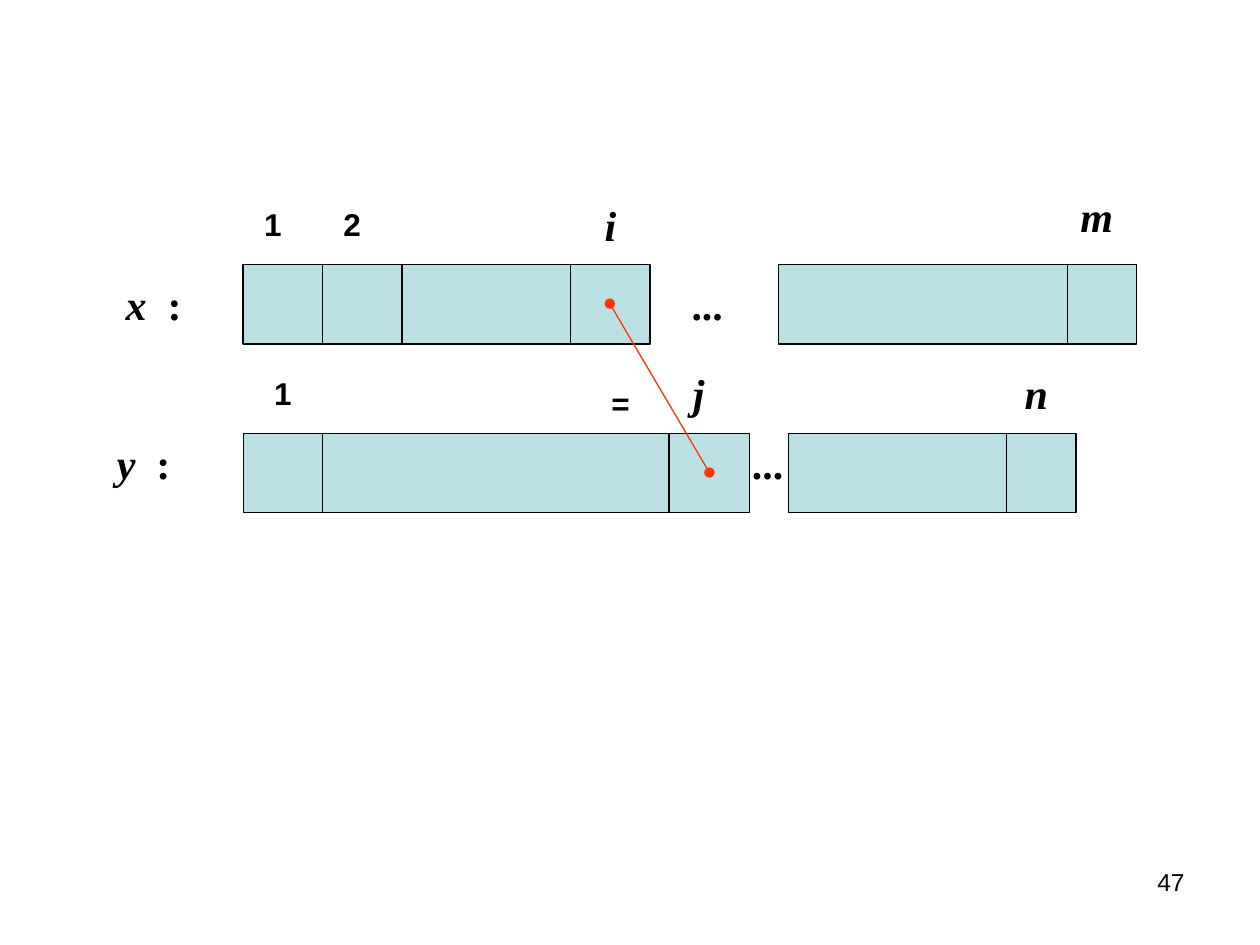
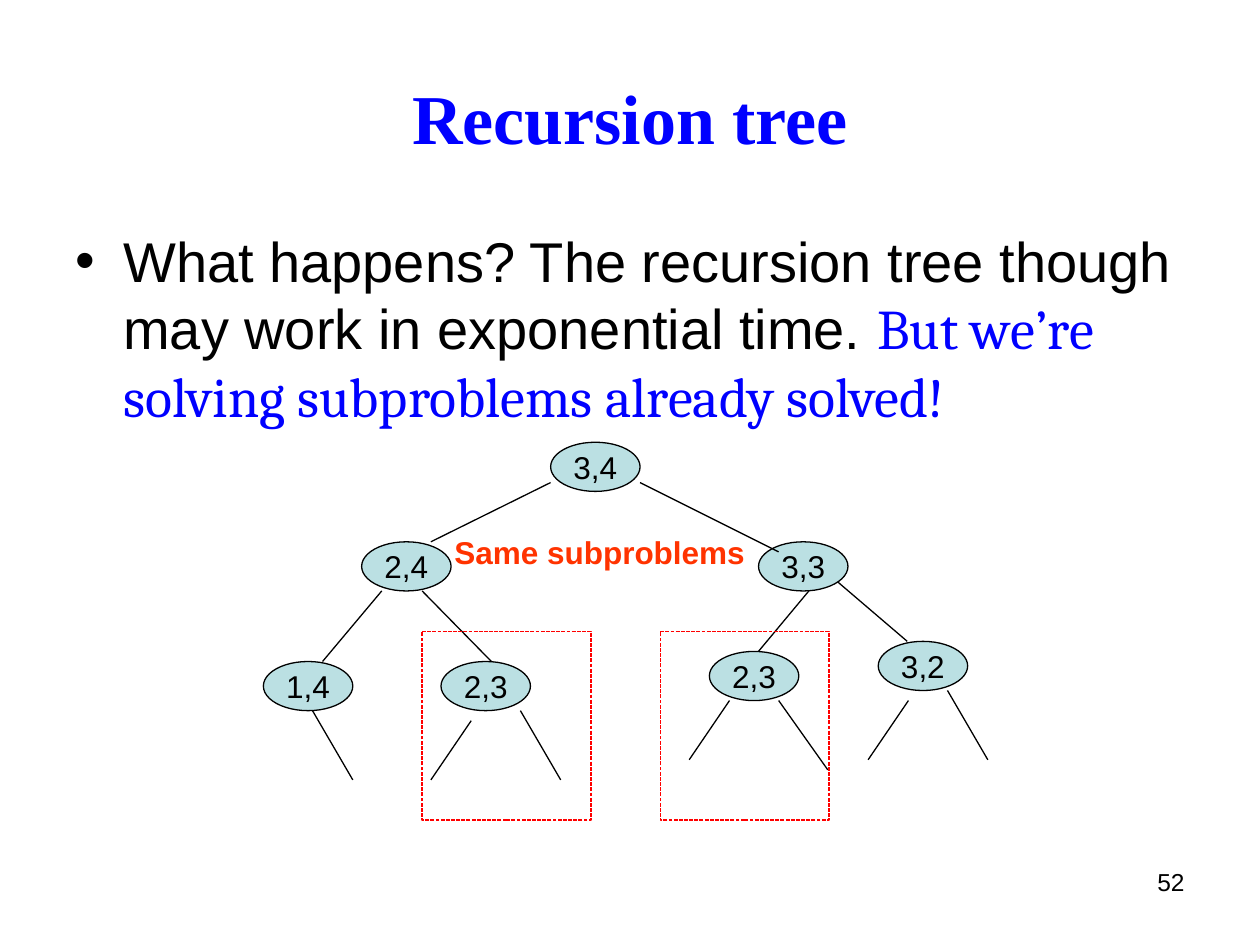
"""Build two slides: matching two sequences, and the recursion tree behind it."""
import pptx
import pptx.dml.color
import pptx.enum.dml
import pptx.enum.shapes
import pptx.enum.text
import pptx.oxml.ns
import pptx.util

Inches, Pt = pptx.util.Inches, pptx.util.Pt
RGBColor = pptx.dml.color.RGBColor
SHAPE = pptx.enum.shapes.MSO_SHAPE
ALIGN = pptx.enum.text.PP_ALIGN
ANCHOR = pptx.enum.text.MSO_ANCHOR
qn = pptx.oxml.ns.qn

BLACK = RGBColor(0x00, 0x00, 0x00)
PALE = RGBColor(0xBB, 0xE0, 0xE3)
BLUE = RGBColor(0x00, 0x00, 0xFF)
ORANGE = RGBColor(0xFF, 0x33, 0x00)
RED = RGBColor(0xFF, 0x00, 0x00)
SANS, SERIF, ACCENT = "Arial", "Times New Roman", "Cambria"

CELL_H = 0.63
LABEL_W, LABEL_H, NAME_W = 0.47, 0.32, 1
SEQUENCES = [
    {"name": "x", "name_at": (0.72, 2.25), "top": 2.1,
     "bars": [(1.93, 3.23, [2.56, 3.19, 4.53]), (6.18, 2.84, [8.47])]},
    {"name": "y", "name_at": (0.64, 3.51), "top": 3.44,
     "bars": [(1.93, 4.02, [2.56, 5.31]), (6.26, 2.28, [7.99])]},
]
MATCH = ((4.84, 2.41), (5.63, 3.75))
NUMBERS = [("1", 1.93, 1.62), ("2", 2.56, 1.62), ("1", 2.01, 2.96), ("=", 4.69, 3.04)]
INDICES = [("i", 4.61, 1.62), ("j", 5.31, 2.96), ("m", 8.47, 1.55), ("n", 7.99, 2.96),
           ("...", 5.39, 2.25), ("...", 5.87, 3.51)]

TITLE = "Recursion tree"
BODY = [("What happens? The recursion tree though may work in exponential time. ", SANS, BLACK),
        ("But we’re solving subproblems already solved!", ACCENT, BLUE)]
NODE_W, NODE_H = 0.71, 0.39
NODES = [("3,4", 4.37, 3.51), ("2,4", 2.87, 4.3), ("3,3", 6.02, 4.3), ("1,4", 2.09, 5.25),
         ("2,3", 3.5, 5.25), ("2,3", 5.63, 5.17), ("3,2", 6.97, 5.09)]
EDGES = [
    ((4.37, 3.83), (3.42, 4.3)), ((5.08, 3.83), (6.18, 4.38)),
    ((3.03, 4.69), (2.56, 5.25)), ((3.35, 4.69), (3.9, 5.25)),
    ((6.42, 4.69), (6.02, 5.17)), ((6.65, 4.62), (7.2, 5.09)),
    ((5.79, 5.56), (5.47, 6.03)), ((6.18, 5.56), (6.57, 6.11)),
    ((2.48, 5.64), (2.8, 6.19)), ((7.52, 5.48), (7.84, 6.03)),
    ((4.13, 5.64), (4.45, 6.19)), ((7.21, 5.56), (6.89, 6.03)),
    ((3.74, 5.72), (3.42, 6.19)),
]
SAME_LEFTS = [3.35, 5.24]
SAME_NOTE = "Same subproblems"


def set_font(font, size, name=SANS, color=BLACK, bold=False, italic=False):
    font.size, font.name, font.bold, font.italic = Pt(size), name, bold, italic
    font.color.rgb = color


def add_text(slide, text, box, size, align=ALIGN.CENTER, anchor=ANCHOR.MIDDLE, wrap=False, **style):
    tf = slide.shapes.add_textbox(*map(Inches, box)).text_frame
    tf.word_wrap, tf.vertical_anchor = wrap, anchor
    p = tf.paragraphs[0]
    p.text, p.alignment = text, align
    set_font(p.font, size, **style)
    return p


def add_box(slide, kind, box, fill=PALE, line=BLACK):
    sp = slide.shapes.add_shape(kind, *map(Inches, box))
    sp.shadow.inherit = False
    if fill is None:
        sp.fill.background()
    else:
        sp.fill.solid()
        sp.fill.fore_color.rgb = fill
    sp.line.color.rgb, sp.line.width = line, Pt(0.75)
    return sp


def add_line(slide, start, end, color=BLACK, ovals=False):
    line = slide.shapes.add_connector(pptx.enum.shapes.MSO_CONNECTOR.STRAIGHT,
                                      *map(Inches, start + end))
    line.line.color.rgb, line.line.width = color, Pt(0.75)
    pr = line._element.spPr
    if ovals:
        for tag in ("a:headEnd", "a:tailEnd"):
            pr.find(qn("a:ln")).append(pr.makeelement(qn(tag), {"type": "oval"}))
    pr.append(pr.makeelement(qn("a:effectLst"), {}))


def add_slide(prs, number):
    slide = prs.slides.add_slide(prs.slide_layouts[6])
    add_text(slide, number, (7.17, 6.83, 2.33, 0.52), 14,
             align=ALIGN.RIGHT, anchor=ANCHOR.TOP, wrap=True)
    return slide


def build_sequences(slide):
    for seq in SEQUENCES:
        top = seq["top"]
        for left, width, dividers in seq["bars"]:
            add_box(slide, SHAPE.RECTANGLE, (left, top, width, CELL_H))
            for x in dividers:
                add_line(slide, (x, top), (x, top + CELL_H))
        p = add_text(slide, seq["name"], (*seq["name_at"], NAME_W, LABEL_H), 24,
                     name=SERIF, bold=True)
        p.runs[0].font.italic = True
        p.runs[0].font._element.set("spc", "600")
        p.add_run().text = " :"
    add_line(slide, *MATCH, color=ORANGE, ovals=True)
    for text, left, top in NUMBERS:
        add_text(slide, text, (left, top, LABEL_W, LABEL_H), 18, bold=True)
    for text, left, top in INDICES:
        add_text(slide, text, (left, top, LABEL_W, LABEL_H), 24,
                 name=SERIF, bold=True, italic=True)


def build_tree(slide):
    add_text(slide, TITLE, (0.5, 0.3, 9, 1.25), 40, wrap=True, name=SERIF, color=BLUE, bold=True)

    p = add_text(slide, "", (0.5, 1.75, 9, 4.95), 32,
                 align=ALIGN.LEFT, anchor=ANCHOR.TOP, wrap=True)
    p.space_before = Pt(8)
    for text, name, color in BODY:
        r = p.add_run()
        r.text = text
        set_font(r.font, 32, name, color)
    pr = p._p.get_or_add_pPr()
    pr.set("marL", str(Inches(0.38)))
    pr.set("indent", str(-Inches(0.38)))
    bullet_font = pr.makeelement(qn("a:buFont"), {"typeface": SANS})
    pr.find(qn("a:spcBef")).addnext(bullet_font)
    bullet_font.addnext(pr.makeelement(qn("a:buChar"), {"char": "•"}))

    for text, left, top in NODES:
        sp = add_box(slide, SHAPE.OVAL, (left, top, NODE_W, NODE_H))
        tf = sp.text_frame
        tf.word_wrap, tf.vertical_anchor = False, ANCHOR.MIDDLE
        p = tf.paragraphs[0]
        p.text, p.alignment = text, ALIGN.CENTER
        set_font(p.font, 18)
    for start, end in EDGES:
        add_line(slide, start, end)
    for left in SAME_LEFTS:
        sp = add_box(slide, SHAPE.RECTANGLE, (left, 5.01, 1.34, 1.5), fill=None, line=RED)
        sp.line.dash_style = pptx.enum.dml.MSO_LINE.SQUARE_DOT
    add_text(slide, SAME_NOTE, (3.26, 3.91, 3, 0.94), 18, color=ORANGE, bold=True)


def main():
    prs = pptx.Presentation()
    prs.slide_width, prs.slide_height = Inches(10), Inches(7.5)
    build_sequences(add_slide(prs, "47"))
    build_tree(add_slide(prs, "52"))
    prs.save("out.pptx")


if __name__ == "__main__":
    main()
